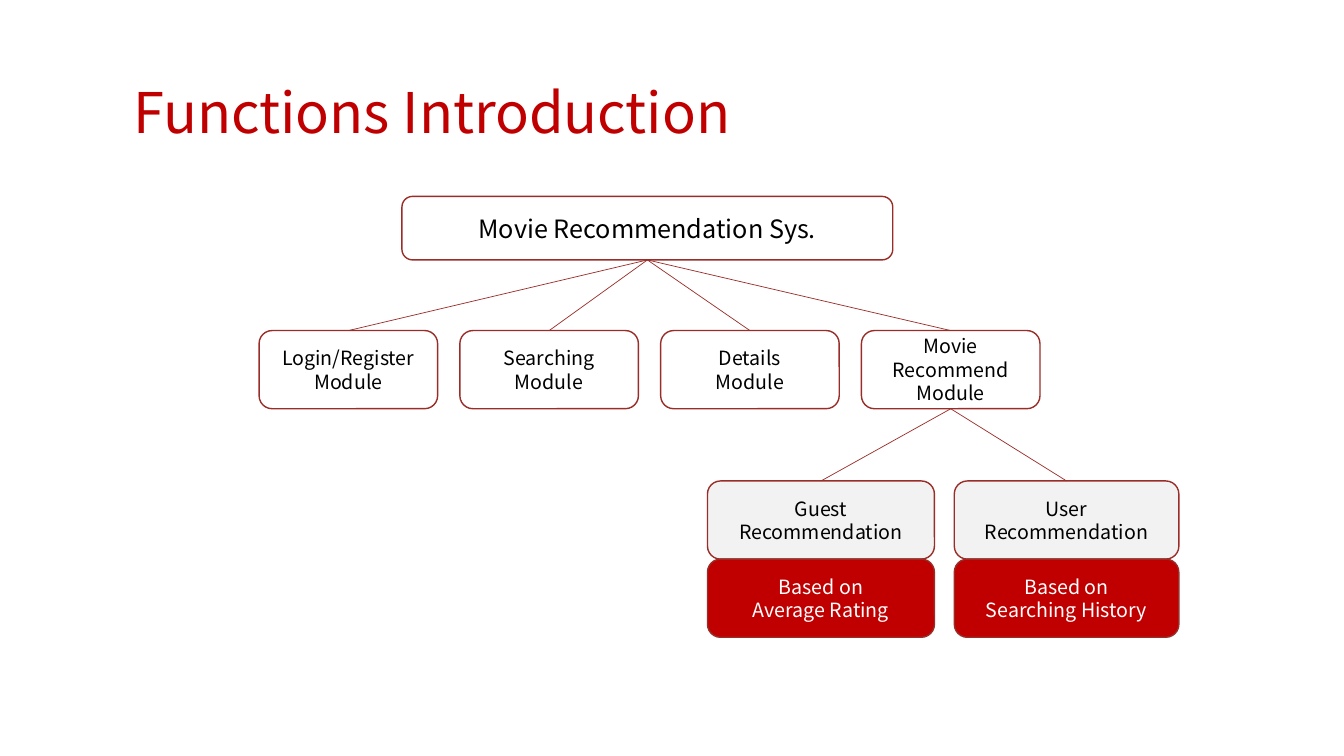
from pptx import Presentation
from pptx.dml.color import RGBColor
from pptx.enum.shapes import MSO_CONNECTOR, MSO_SHAPE
from pptx.enum.text import MSO_ANCHOR, PP_ALIGN
from pptx.oxml.ns import qn
from pptx.util import Cm, Pt
from lxml import etree

ROUNDED = MSO_SHAPE.ROUNDED_RECTANGLE
STRAIGHT = MSO_CONNECTOR.STRAIGHT
MIDDLE = MSO_ANCHOR.MIDDLE
CENTER = PP_ALIGN.CENTER
BOTTOM_SIDE, TOP_SIDE = 2, 0

FONT = "Noto Sans CJK SC"
RED, BORDER = "C00000", "992D28"
WHITE, GREY, BLACK = "FFFFFF", "F2F2F2", "000000"


def color(value):
    return RGBColor.from_string(value)


def write(box, lines, size, text_color, **paragraph_format):
    frame = box.text_frame
    frame.word_wrap = True
    for index, line in enumerate(lines):
        para = frame.paragraphs[0] if index == 0 else frame.add_paragraph()
        for name, value in paragraph_format.items():
            setattr(para, name, value)
        span = para.add_run()
        span.text = line
        for name, value in {"name": FONT, "size": Pt(size)}.items():
            setattr(span.font, name, value)
        span.font.color.rgb = color(text_color)


deck = Presentation()
deck.slide_width, deck.slide_height = Cm(33.87), Cm(19.05)
page = deck.slides.add_slide(deck.slide_layouts[6])

# Title
title = page.shapes.add_textbox(Cm(3.12), Cm(1.83), Cm(16.23), Cm(1.96))
write(title, ["Functions Introduction"], 40, RED)

# Boxes: key, left, top, width, height, fill, text colour, size, lines
boxes = [("system", 10.13, 4.95, 12.37, 1.6, WHITE, BLACK, 18,
          ["Movie Recommendation Sys."])]

modules = [
    ("login", ["Login/Register Module"]),
    ("searching", ["Searching Module"]),
    ("details", ["Details", "Module"]),
    ("recommend", ["Movie Recommend", "Module"]),
]
for column, (key, lines) in enumerate(modules):
    boxes.append((key, 6.53 + 5.06 * column, 8.33, 4.5, 1.97,
                  WHITE, BLACK, 14, lines))

recommendations = [
    ("guest", 17.83, 5.72, ["Guest", "Recommendation"],
     ["Based on", "Average Rating"]),
    ("user", 24.05, 5.66, ["User", "Recommendation"],
     ["Based on", "Searching History"]),
]
for key, left, width, lines, basis in recommendations:
    boxes.append((key, left, 12.12, width, 1.97, GREY, BLACK, 14, lines))
    boxes.append((key + " basis", left, 14.09, width, 1.97, RED, WHITE, 14, basis))

nodes = {}
for key, left, top, width, height, fill, text_color, size, lines in boxes:
    box = page.shapes.add_shape(ROUNDED, Cm(left), Cm(top), Cm(width), Cm(height))
    box.shadow.inherit = False
    box.fill.solid()
    box.fill.fore_color.rgb = color(fill)
    box.line.color.rgb = color(BORDER)
    box.line.width = Pt(1)
    box.text_frame.vertical_anchor = MIDDLE
    write(box, lines, size, text_color, alignment=CENTER)
    nodes[key] = box

# Tree branches
branches = [("system", key) for key, lines in modules]
branches += [("recommend", "guest"), ("recommend", "user")]
for parent, child in branches:
    branch = page.shapes.add_connector(STRAIGHT, 0, 0, 0, 0)
    branch.begin_connect(nodes[parent], BOTTOM_SIDE)
    branch.end_connect(nodes[child], TOP_SIDE)
    branch.line.color.rgb = color(BORDER)
    branch.line.width = Pt(0.5)
    etree.SubElement(branch._element.spPr, qn("a:effectLst"))

deck.save("out.pptx")
